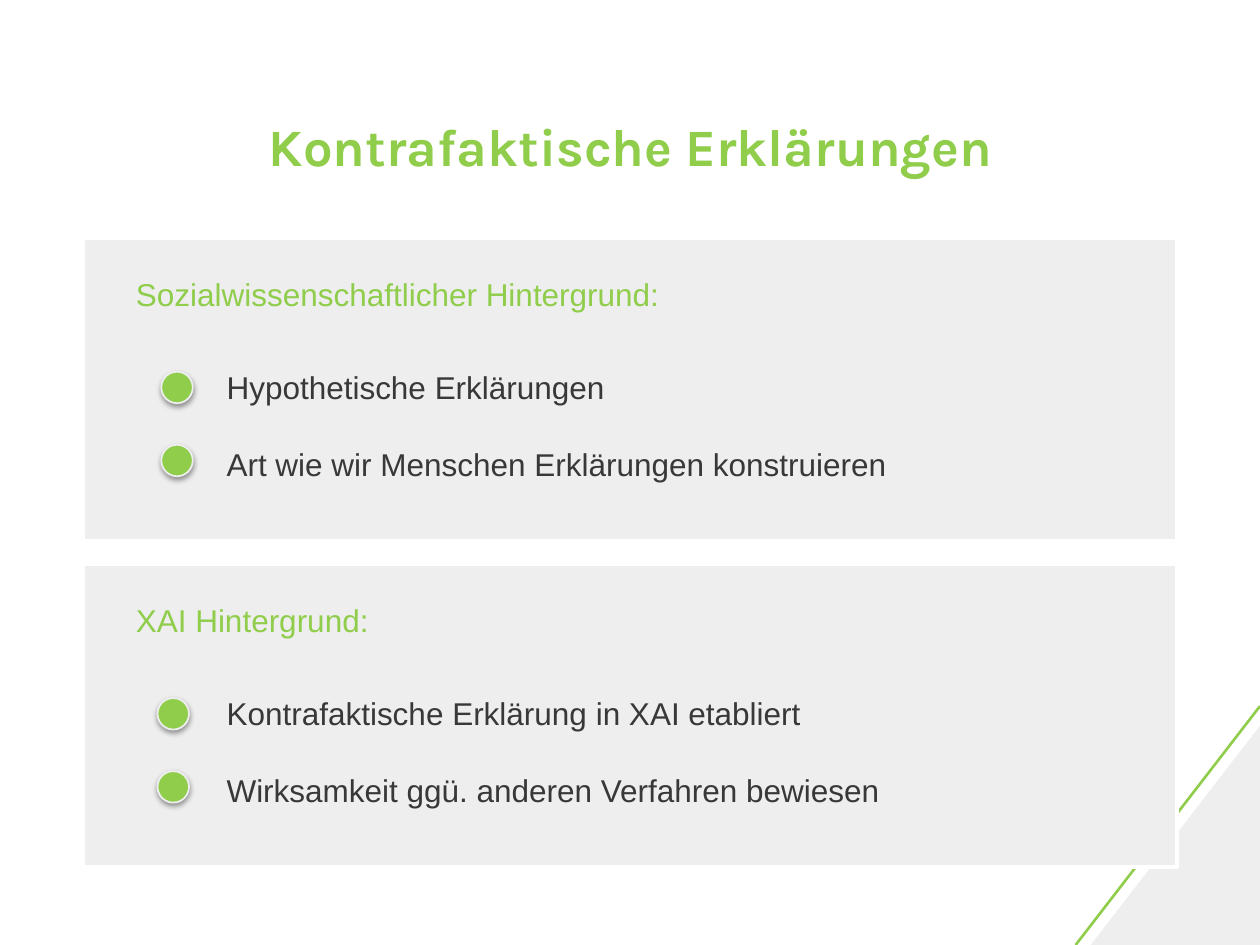
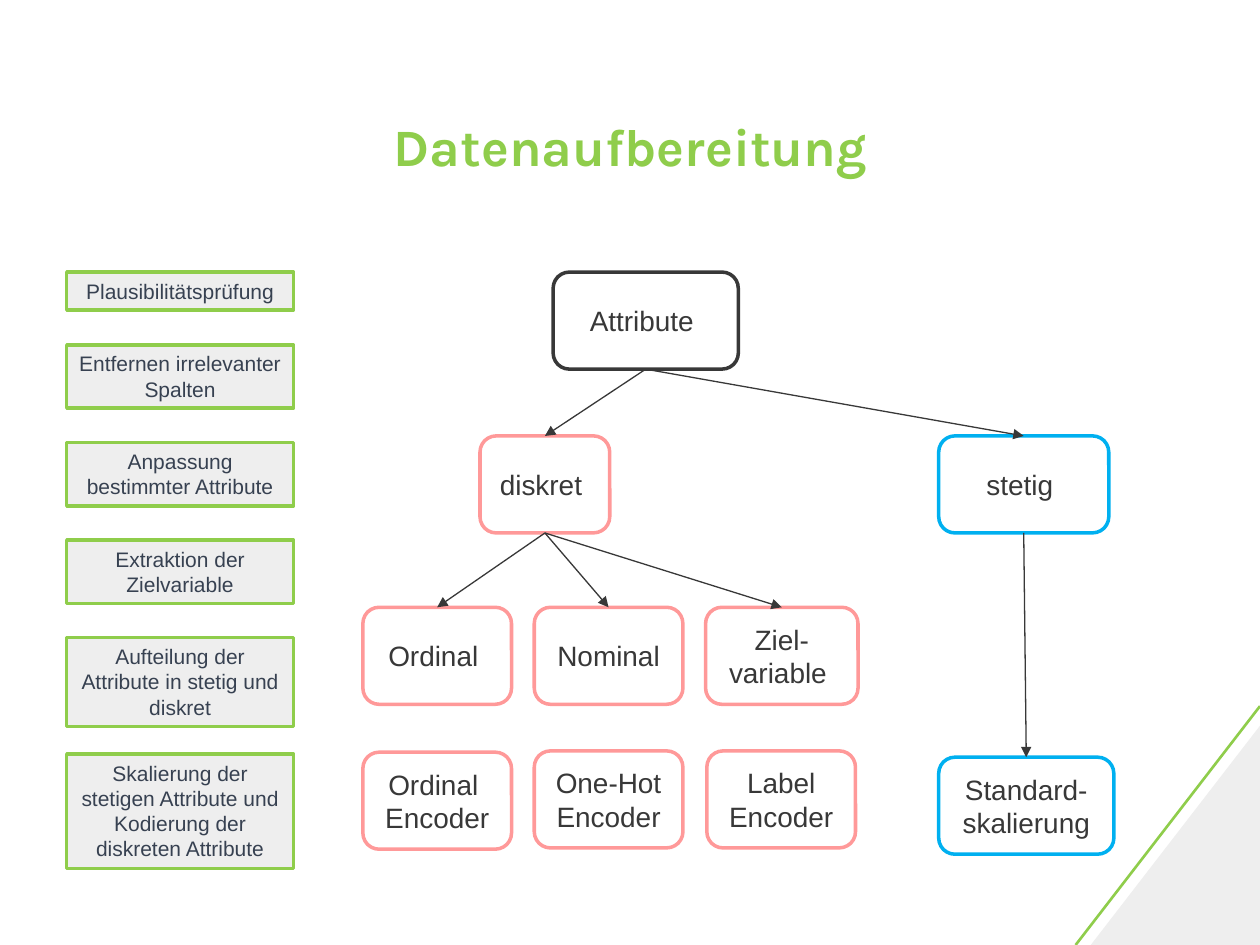
from lxml.etree import SubElement
from pptx import Presentation
from pptx.dml.color import RGBColor
from pptx.enum.shapes import MSO_CONNECTOR, MSO_SHAPE
from pptx.enum.text import MSO_ANCHOR, PP_ALIGN
from pptx.oxml.ns import qn
from pptx.util import Inches, Pt

GREEN = RGBColor(0x8F, 0xCD, 0x4B)
GREY = RGBColor(0xEE, 0xEE, 0xEE)
WHITE = RGBColor(0xFF, 0xFF, 0xFF)
DARK = RGBColor(0x38, 0x38, 0x38)
SLATE = RGBColor(0x37, 0x41, 0x51)
ROSE = RGBColor(0xFF, 0x99, 0x99)
BLUE = RGBColor(0x00, 0xB0, 0xF0)

WIDE, HIGH = Inches(10), Inches(7.5)
COLS = 100
UNIT = WIDE / COLS  # the grid has 100 columns and 75 rows


def grid(*cells):
    return [round(cell * UNIT) for cell in cells]


def write(shape, lines, size, color, font="Arial", bold=None,
          align=PP_ALIGN.LEFT, anchor=MSO_ANCHOR.TOP, gap=0):
    frame = shape.text_frame
    frame.word_wrap = True
    frame.vertical_anchor = anchor
    for i, line in enumerate(lines):
        para = frame.paragraphs[0] if i == 0 else frame.add_paragraph()
        para.text = line
        para.alignment = align
        if i and gap:
            para.space_before = Pt(gap)
        para.font.name, para.font.size = font, Pt(size)
        para.font.bold = bold
        para.font.color.rgb = color


def label(slide, box, lines, size, color, **style):
    write(slide.shapes.add_textbox(*grid(*box)), lines, size, color, **style)


def draw(slide, kind, box, fill, edge, width=2):
    shape = slide.shapes.add_shape(kind, *grid(*box))
    shape.shadow.inherit = False
    if fill is None:
        shape.fill.background()
    else:
        shape.fill.solid()
        shape.fill.fore_color.rgb = fill
    shape.line.color.rgb = edge
    shape.line.width = Pt(width)
    return shape


def link(slide, color, width):
    line = slide.shapes.add_connector(MSO_CONNECTOR.STRAIGHT, 0, 0, 0, 0)
    line.line.color.rgb = color
    line.line.width = Pt(width)
    SubElement(line._element.spPr, qn("a:effectLst"))
    return line


def corner(slide):
    # Green slanted line
    line = link(slide, GREEN, 1.5)
    line.begin_x, line.begin_y = grid(85.37, 75)
    line.end_x, line.end_y = grid(100, 56.04)
    # Grey triangle
    pen = slide.shapes.build_freeform(*grid(86.57, 75))
    pen.add_line_segments([grid(100, 57.6), grid(100, 75)])
    shape = pen.convert_to_shape()
    shape.shadow.inherit = False
    shape.fill.solid()
    shape.fill.fore_color.rgb = GREY
    shape.line.fill.background()


def start(deck, title):
    slide = deck.slides.add_slide(deck.slide_layouts[6])
    corner(slide)
    label(slide, (9.8, 7.7, 80.5, 7.7), [title], 30, GREEN, font="Karla",
          bold=True, align=PP_ALIGN.CENTER, anchor=MSO_ANCHOR.MIDDLE)
    return slide


def dot(slide, x, y):
    shape = draw(slide, MSO_SHAPE.OVAL, (x, y, 2.5, 2.5), GREEN, GREY, 1)
    effect = shape._element.spPr.find(qn("a:effectLst"))
    shade = SubElement(effect, qn("a:outerShdw"), blurRad=str(Pt(3.1)),
                       dist=str(Pt(1.6)), dir="5400000", rotWithShape="0")
    tone = SubElement(shade, qn("a:srgbClr"), val="000000")
    SubElement(tone, qn("a:alpha"), val="38000")


def panel(slide, box, head, items, inset):
    x, y, w, h = box
    draw(slide, MSO_SHAPE.RECTANGLE, box, GREY, WHITE)
    label(slide, (x + 3.2, y + 2.4, w - 7.1, 4), [head], 18, GREEN)
    label(slide, (x + 10.4, y + 9.8, w - 13.5, 10.1), items, 18, DARK, gap=22.6)
    for i in range(len(items)):
        dot(slide, x + inset, y + 10.6 + 5.8 * i)


def steps(slide, box, items):
    x, y, w = box
    for text, lines, gap in items:
        tall = 1 + 2.02 * lines
        shape = draw(slide, MSO_SHAPE.RECTANGLE, (x, y, w, tall), GREY, GREEN)
        write(shape, [text], 12, SLATE, align=PP_ALIGN.CENTER)
        y += tall + gap


def tree(slide, box, nodes, edges):
    x, y = box
    made = {}
    # Nodes
    for name, (col, row, wide, color, lines) in nodes.items():
        shape = draw(slide, MSO_SHAPE.ROUNDED_RECTANGLE,
                     (x + col, y + row, wide, 7.7), None, color)
        write(shape, lines, 16, DARK, align=PP_ALIGN.CENTER,
              anchor=MSO_ANCHOR.MIDDLE)
        made[name] = shape
    # Arrows from bottom centre to top centre
    for top, low in edges:
        line = link(slide, DARK, 0.75)
        line.begin_connect(made[top], 2)
        line.end_connect(made[low], 0)
        SubElement(line.line._get_or_add_ln(), qn("a:tailEnd"), type="triangle")


def reasons(deck):
    slide = start(deck, "Kontrafaktische Erklärungen")
    panels = [
        ("Sozialwissenschaftlicher Hintergrund:",
         ["Hypothetische Erklärungen",
          "Art wie wir Menschen Erklärungen konstruieren"], 6.2),
        ("XAI Hintergrund:",
         ["Kontrafaktische Erklärung in XAI etabliert",
          "Wirksamkeit ggü. anderen Verfahren bewiesen"], 5.9),
    ]
    for i, (head, items, inset) in enumerate(panels):
        panel(slide, (6.6, 18.9 + 25.9 * i, 86.8, 24), head, items, inset)


def prepare(deck):
    slide = start(deck, "Datenaufbereitung")
    # Text, number of lines, gap below
    steps(slide, (5.3, 21.6, 18), [
        ("Plausibilitätsprüfung", 1, 2.75),
        ("Entfernen irrelevanter Spalten", 2, 2.7),
        ("Anpassung bestimmter Attribute", 2, 2.7),
        ("Extraktion der Zielvariable", 2, 2.7),
        ("Aufteilung der Attribute in stetig und diskret", 3, 2.2),
        ("Skalierung der stetigen Attribute und Kodierung "
         "der diskreten Attribute", 4, 0),
    ])
    # Column, row, width, outline, text
    nodes = {
        "root": (15.1, 0, 14.7, DARK, ["Attribute "]),
        "disc": (9.3, 13, 10.3, ROSE, ["diskret "]),
        "cont": (45.7, 13, 13.5, BLUE, ["stetig "]),
        "ord": (0, 26.6, 11.8, ROSE, ["Ordinal "]),
        "nom": (13.6, 26.6, 11.8, ROSE, ["Nominal"]),
        "goal": (27.2, 26.6, 12.1, ROSE, ["Ziel-variable "]),
        "ord code": (0, 38.1, 11.8, ROSE, ["Ordinal ", "Encoder"]),
        "hot code": (13.6, 38, 11.8, ROSE, ["One-Hot", "Encoder"]),
        "label code": (27.3, 38, 11.8, ROSE, ["Label Encoder"]),
        "scale": (45.7, 38.5, 13.9, BLUE, ["Standard-skalierung"]),
    }
    edges = [("root", "disc"), ("root", "cont"), ("disc", "ord"),
             ("disc", "nom"), ("disc", "goal"), ("cont", "scale")]
    tree(slide, (28.8, 21.6), nodes, edges)


def main():
    deck = Presentation()
    deck.slide_width, deck.slide_height = WIDE, HIGH
    reasons(deck)
    prepare(deck)
    deck.save("out.pptx")


if __name__ == "__main__":
    main()
